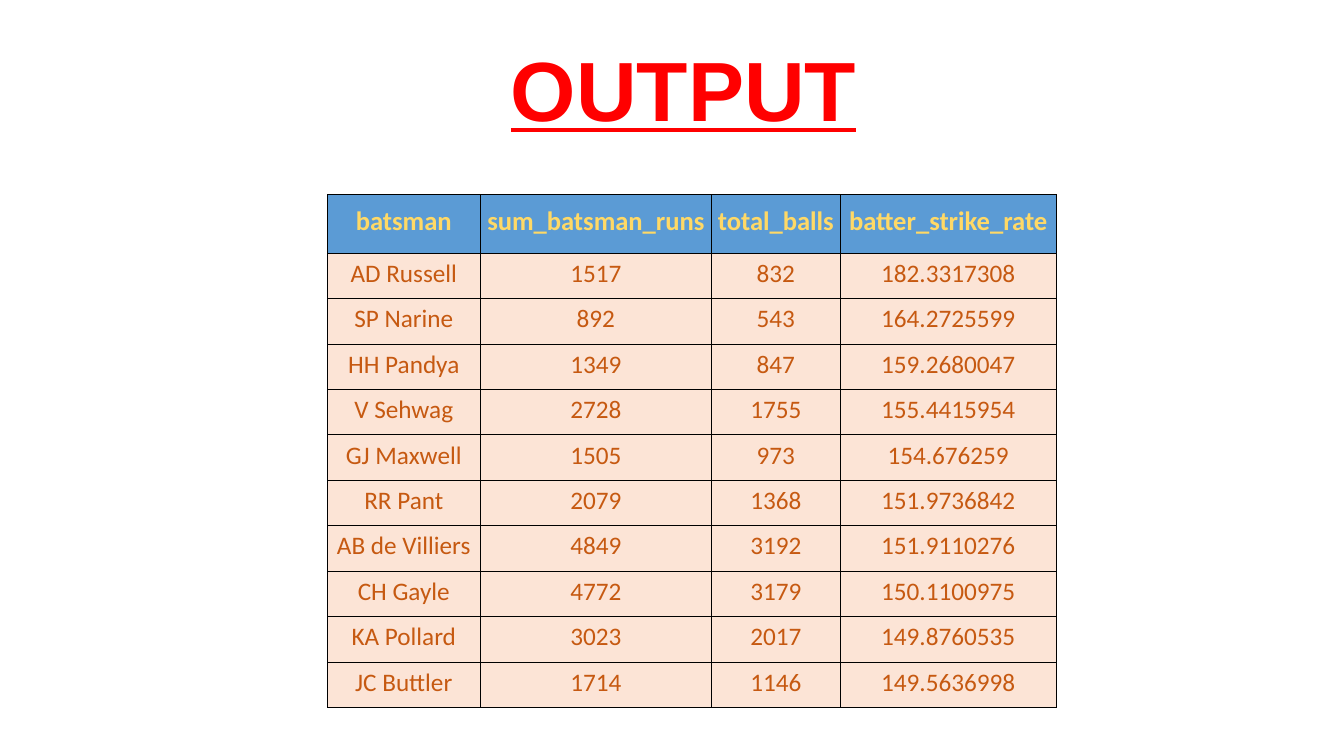
from typing import NamedTuple

from lxml import etree
from pptx import Presentation
from pptx import util as u
from pptx.dml import color
from pptx.enum import text
from pptx.oxml import ns

COLORS = {
    "title": "FF0000",
    "header_fill": "5B9BD5",
    "header_text": "FFD966",
    "body_fill": "FCE4D6",
    "body_text": "C65911",
    "border": "000000",
}
HEADERS = ("batsman", "sum_batsman_runs", "total_balls", "batter_strike_rate")
COLUMN_WIDTHS = (1.51, 2.3, 1.27, 2.15)
TABLE_HEIGHT = 5.09
HEADER_HEIGHT = 0.58


class Batter(NamedTuple):
    name: str
    runs: int
    balls: int
    strike_rate: float


class CellStyle(NamedTuple):
    fill: str
    font_color: str
    size: int
    bold: bool


HEADER_STYLE = CellStyle(COLORS["header_fill"], COLORS["header_text"], 19, True)
BODY_STYLE = CellStyle(COLORS["body_fill"], COLORS["body_text"], 18, False)

BATTERS = (
    Batter("AD Russell", 1517, 832, 182.3317308),
    Batter("SP Narine", 892, 543, 164.2725599),
    Batter("HH Pandya", 1349, 847, 159.2680047),
    Batter("V Sehwag", 2728, 1755, 155.4415954),
    Batter("GJ Maxwell", 1505, 973, 154.676259),
    Batter("RR Pant", 2079, 1368, 151.9736842),
    Batter("AB de Villiers", 4849, 3192, 151.9110276),
    Batter("CH Gayle", 4772, 3179, 150.1100975),
    Batter("KA Pollard", 3023, 2017, 149.8760535),
    Batter("JC Buttler", 1714, 1146, 149.5636998),
)


def rgb(value: str) -> color.RGBColor:
    return color.RGBColor.from_string(value)


def add_borders(cell) -> None:
    properties = cell._tc.get_or_add_tcPr()
    for side in ("a:lnL", "a:lnR", "a:lnT", "a:lnB"):
        line = etree.SubElement(properties, ns.qn(side), w=str(u.Pt(0.5)))
        fill = etree.SubElement(line, ns.qn("a:solidFill"))
        etree.SubElement(fill, ns.qn("a:srgbClr"), val=COLORS["border"])


def fill_cell(cell, content: str, style: CellStyle) -> None:
    add_borders(cell)
    cell.fill.solid()
    cell.fill.fore_color.rgb = rgb(style.fill)
    cell.margin_left = cell.margin_top = cell.margin_right = u.Inches(0.01)
    cell.margin_bottom = u.Inches(0.05)
    cell.vertical_anchor = text.MSO_ANCHOR.MIDDLE
    cell.text = content
    paragraph = cell.text_frame.paragraphs[0]
    paragraph.alignment = text.PP_ALIGN.CENTER
    font = paragraph.font
    font.name = "Calibri"
    font.size = u.Pt(style.size)
    font.bold = style.bold
    font.color.rgb = rgb(style.font_color)


def add_title(slide) -> None:
    box = slide.shapes.add_textbox(u.Inches(4.97), u.Inches(0.32), u.Inches(4.44), u.Inches(1.11))
    frame = box.text_frame
    frame.word_wrap = True
    frame.auto_size = text.MSO_AUTO_SIZE.SHAPE_TO_FIT_TEXT
    paragraph = frame.paragraphs[0]
    paragraph.text = "OUTPUT"
    font = paragraph.font
    font.name = "Arial"
    font.size = u.Pt(60)
    font.bold = True
    font.underline = True
    font.color.rgb = rgb(COLORS["title"])


def add_batter_table(slide) -> None:
    rows = (HEADERS, *BATTERS)
    table = slide.shapes.add_table(
        len(rows), len(HEADERS), u.Inches(3.25), u.Inches(1.93),
        u.Inches(sum(COLUMN_WIDTHS)), u.Inches(TABLE_HEIGHT),
    ).table
    for column, width in zip(table.columns, COLUMN_WIDTHS):
        column.width = u.Inches(width)
    body_height = (TABLE_HEIGHT - HEADER_HEIGHT) / len(BATTERS)
    for index, values in enumerate(rows):
        table.rows[index].height = u.Inches(body_height if index else HEADER_HEIGHT)
        style = BODY_STYLE if index else HEADER_STYLE
        for cell, value in zip(table.rows[index].cells, values):
            fill_cell(cell, str(value), style)


def main() -> None:
    presentation = Presentation()
    presentation.slide_width = u.Inches(13.33)
    presentation.slide_height = u.Inches(7.5)
    slide = presentation.slides.add_slide(presentation.slide_layouts[6])
    add_batter_table(slide)
    add_title(slide)
    presentation.save("out.pptx")


if __name__ == "__main__":
    main()
